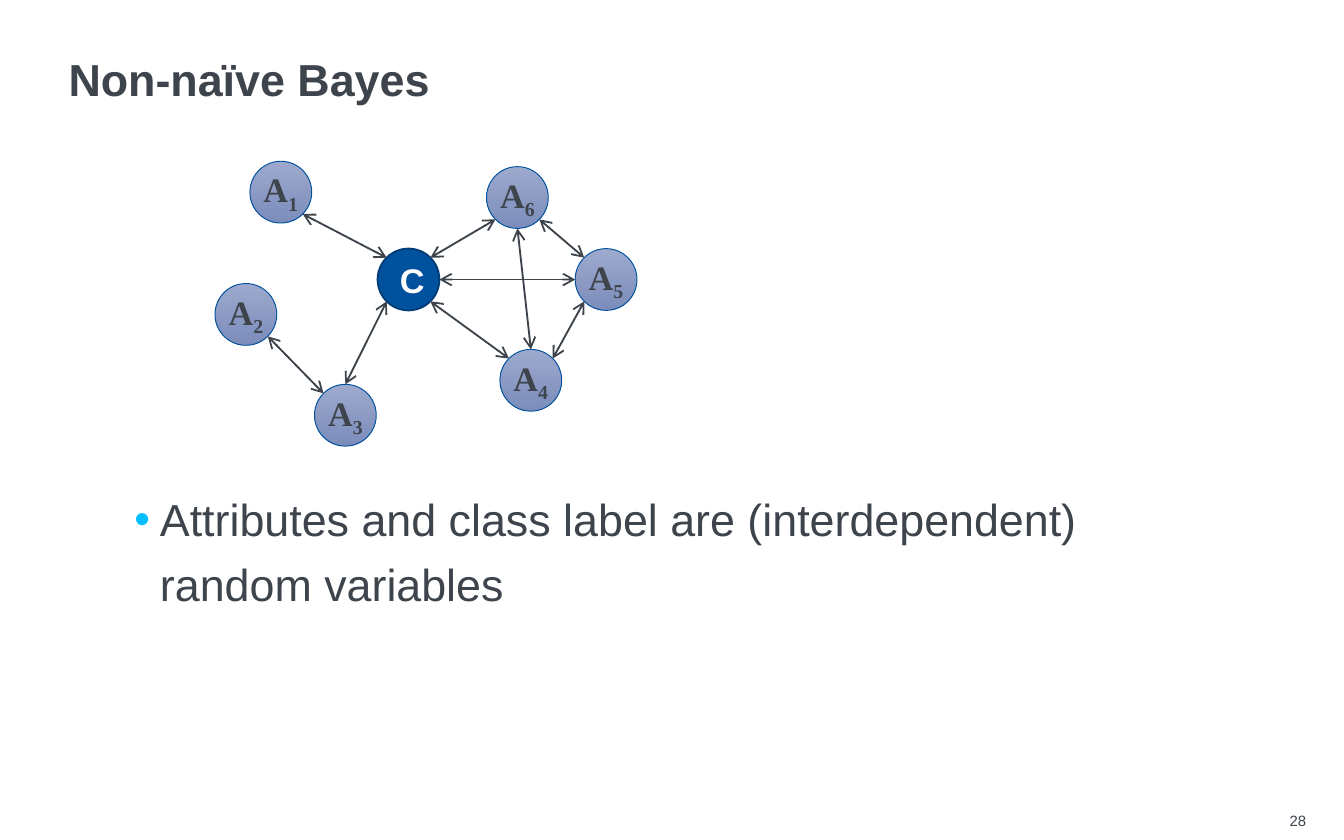
"""Build the slide on non-naïve Bayes: a graph of attributes and one claim."""
from typing import NamedTuple

from lxml.etree import SubElement
from pptx import Presentation
from pptx.dml.color import RGBColor
from pptx.enum.shapes import MSO_CONNECTOR, MSO_SHAPE
from pptx.enum.text import MSO_ANCHOR, MSO_AUTO_SIZE, PP_ALIGN
from pptx.oxml.ns import qn
from pptx.util import Inches, Pt

INK = RGBColor(0x3E, 0x44, 0x4C)
WHITE = RGBColor(0xFF, 0xFF, 0xFF)
BLUE = RGBColor(0x00, 0x51, 0x9E)
NAVY = RGBColor(0x00, 0x3C, 0x75)
PALE = RGBColor(0x9D, 0xA9, 0xCD)
DUSK = RGBColor(0x7C, 0x8D, 0xBB)
SIZE = 0.46
DIAG = 0.7071
SIDES = {
    "n": (0, -1), "s": (0, 1), "w": (-1, 0), "e": (1, 0),
    "nw": (-DIAG, -DIAG), "ne": (DIAG, -DIAG),
    "sw": (-DIAG, DIAG), "se": (DIAG, DIAG),
}


class Node(NamedTuple):
    left: float
    top: float
    name: str
    sub: str = ""


class Edge(NamedTuple):
    start: str
    exit: str
    end: str
    entry: str


NODES = [
    Node(2.81, 1.85, "C"),
    Node(1.6, 2.11, "A", "2"),
    Node(2.34, 2.86, "A", "3"),
    Node(1.86, 1.2, "A", "1"),
    Node(3.62, 1.24, "A", "6"),
    Node(3.72, 2.6, "A", "4"),
    Node(4.28, 1.85, "A", "5"),
]
EDGES = [
    Edge("A1", "se", "C", "nw"),
    Edge("A2", "se", "A3", "nw"),
    Edge("A3", "n", "C", "sw"),
    Edge("A4", "nw", "C", "se"),
    Edge("A4", "ne", "A5", "sw"),
    Edge("C", "ne", "A6", "sw"),
    Edge("A5", "w", "C", "e"),
    Edge("A5", "nw", "A6", "se"),
    Edge("A4", "n", "A6", "s"),
]


def style(para, size: float, color: RGBColor, align, bold=False, face="Arial") -> None:
    para.alignment = align
    font = para.font
    font.name, font.size, font.bold = face, Pt(size), bold
    font.color.rgb = color


def place(shape, left: float, top: float, width: float, height: float):
    shape.left, shape.top = Inches(left), Inches(top)
    shape.width, shape.height = Inches(width), Inches(height)
    frame = shape.text_frame
    frame.margin_left = frame.margin_right = 0
    frame.margin_top = frame.margin_bottom = 0
    frame.word_wrap = True
    frame.auto_size = MSO_AUTO_SIZE.NONE
    frame.vertical_anchor = MSO_ANCHOR.TOP
    return frame.paragraphs[0]


def add_bullet(para, color: RGBColor, indent: float) -> None:
    props = para._p.get_or_add_pPr()
    props.set("marL", str(Inches(indent)))
    props.set("indent", str(-Inches(indent)))
    tint = SubElement(props, qn("a:buClr"))
    SubElement(tint, qn("a:srgbClr")).set("val", str(color))
    SubElement(props, qn("a:buFont")).set("typeface", "Arial")
    SubElement(props, qn("a:buChar")).set("char", "•")


def draw_node(slide, node: Node) -> None:
    oval = slide.shapes.add_shape(
        MSO_SHAPE.OVAL, Inches(node.left), Inches(node.top), Inches(SIZE), Inches(SIZE))
    oval.shadow.inherit = False
    frame = oval.text_frame
    frame.vertical_anchor = MSO_ANCHOR.MIDDLE
    frame.word_wrap = not node.sub
    para = frame.paragraphs[0]
    para.add_run().text = node.name
    if node.sub:
        oval.fill.gradient()
        oval.fill.gradient_angle = 270
        for stop, color in zip(oval.fill.gradient_stops, (PALE, DUSK)):
            stop.color.rgb = color
        oval.line.color.rgb, oval.line.width = BLUE, Pt(0.5)
        run = para.add_run()
        run.text = node.sub
        run._r.get_or_add_rPr().set("baseline", "-25000")
        style(para, 18.3, INK, PP_ALIGN.CENTER, True, "Times New Roman")
    else:
        oval.fill.solid()
        oval.fill.fore_color.rgb = BLUE
        oval.line.color.rgb, oval.line.width = NAVY, Pt(1)
        style(para, 18.3, WHITE, PP_ALIGN.CENTER, True)


def find_point(node: Node, side: str) -> tuple:
    across, down = SIDES[side]
    half = SIZE / 2
    return (Inches(node.left + half * (1 + across)),
            Inches(node.top + half * (1 + down)))


def draw_edge(slide, edge: Edge, nodes: dict) -> None:
    line = slide.shapes.add_connector(
        MSO_CONNECTOR.STRAIGHT,
        *find_point(nodes[edge.start], edge.exit),
        *find_point(nodes[edge.end], edge.entry))
    line.line.color.rgb, line.line.width = INK, Pt(1)
    stroke = line.line._get_or_add_ln()
    for tip in ("a:headEnd", "a:tailEnd"):
        SubElement(stroke, qn(tip)).set("type", "arrow")
    SubElement(line._element.spPr, qn("a:effectLst"))


def main() -> None:
    deck = Presentation()
    deck.slide_width, deck.slide_height = Inches(10), Inches(6.25)
    slide = deck.slides.add_slide(deck.slide_layouts[1])
    title, body = slide.placeholders

    para = place(title, 0.51, 0.43, 9.02, 0.63)
    para.text = "Non-naïve Bayes"
    para.line_spacing = 0.9
    style(para, 24, INK, PP_ALIGN.LEFT, True)

    para = place(body, 1, 3.58, 8.07, 1.77)
    para.text = "Attributes and class label are (interdependent) random variables"
    para.line_spacing, para.space_before = 1.2, Pt(0)
    add_bullet(para, RGBColor(0x00, 0xBE, 0xFF), 0.19)
    style(para, 24, INK, PP_ALIGN.LEFT)

    nodes = {node.name + node.sub: node for node in NODES}
    for node in NODES:
        draw_node(slide, node)
    for edge in EDGES:
        draw_edge(slide, edge, nodes)

    box = slide.shapes.add_textbox(0, 0, 0, 0)
    para = place(box, 8.46, 6.04, 1.26, 0.13)
    para.text = "28"
    style(para, 8, INK, PP_ALIGN.RIGHT)
    deck.save("out.pptx")


if __name__ == "__main__":
    main()
